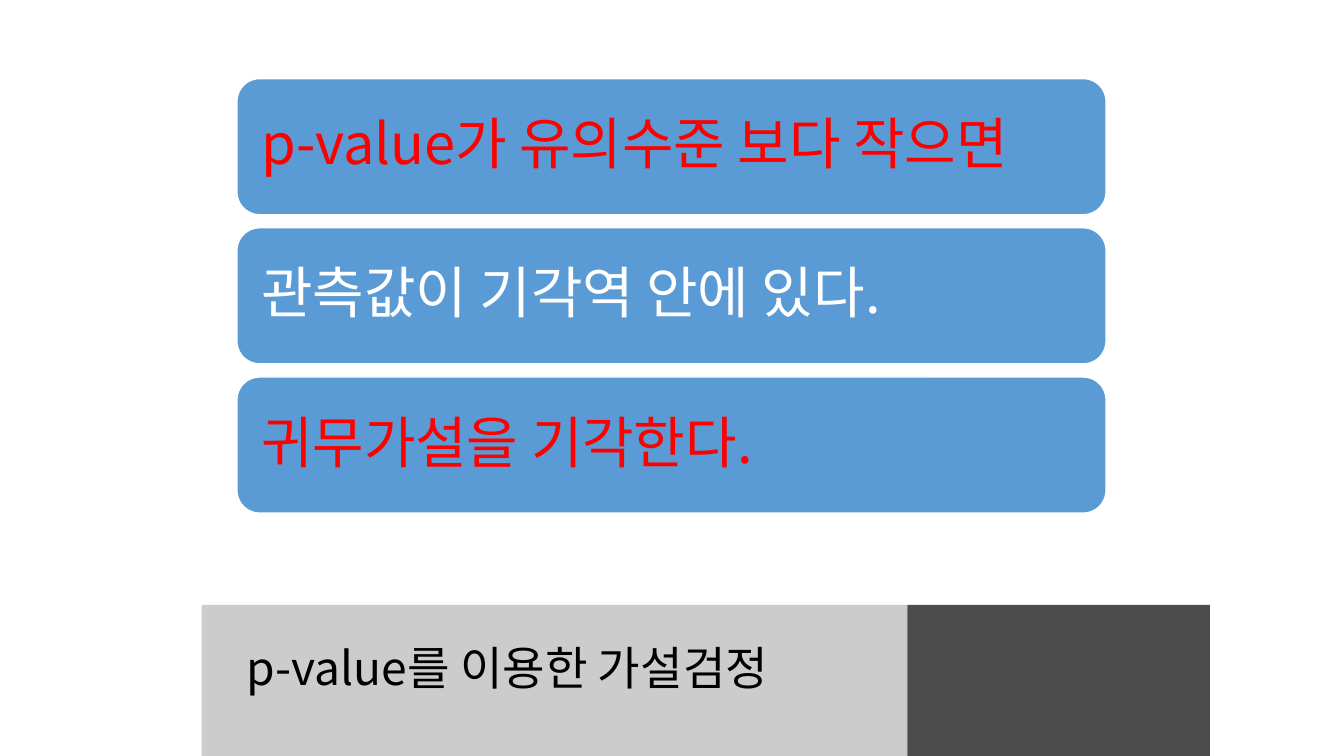
from dataclasses import dataclass

from lxml.etree import SubElement
from pptx import Presentation
from pptx.dml.color import RGBColor
from pptx.enum.shapes import MSO_SHAPE
from pptx.enum.text import MSO_ANCHOR
from pptx.oxml.ns import qn
from pptx.slide import Slide
from pptx.util import Inches, Pt


@dataclass(frozen=True)
class Theme:
    font: str = "Noto Sans CJK KR"
    blue: str = "5B9BD5"
    white: str = "FFFFFF"
    red: str = "FF0000"
    gray: str = "808080"
    black: str = "000000"
    title: int = 33
    body: int = 40


@dataclass(frozen=True)
class Box:
    left: float
    top: float
    width: float
    height: float


@dataclass(frozen=True)
class Step:
    text: str
    color: str


@dataclass(frozen=True)
class Band:
    points: tuple[tuple[float, float], ...]
    color: str
    alpha: int


THEME = Theme()
STEPS = (
    Step("p-value가 유의수준 보다 작으면", THEME.red),
    Step("관측값이 기각역 안에 있다.", THEME.white),
    Step("귀무가설을 기각한다.", THEME.red),
)
BANDS = (
    Band(((1.67, 5.87), (9.18, 5.87), (8.61, 7.5), (1.67, 7.5)), THEME.gray, 40),
    Band(((9.42, 5.87), (11.67, 5.87), (11.67, 7.5), (8.85, 7.5)), THEME.black, 70),
)
CARD = Box(2.35, 0.78, 8.62, 1.35)
PITCH = 1.48
EDGE = 0.07  # gap between a card and its text box


def add_band(slide: Slide, band: Band) -> None:
    start, *rest = band.points
    pen = slide.shapes.build_freeform(*start, scale=Inches(1))
    pen.add_line_segments(rest)
    shape = pen.convert_to_shape()
    shape.shadow.inherit = False
    shape.line.fill.background()
    shape.fill.solid()
    shape.fill.fore_color.rgb = RGBColor.from_string(band.color)
    tint = shape.fill._xPr.find(qn("a:solidFill"))[0]
    SubElement(tint, qn("a:alpha"), val=str(band.alpha * 1000))


def add_text(slide: Slide, box: Box, text: str, size: int, color: str,
             side: float, edge: float) -> None:
    label = slide.shapes.add_textbox(
        Inches(box.left), Inches(box.top), Inches(box.width), Inches(box.height))
    frame = label.text_frame
    frame.word_wrap = True
    frame.vertical_anchor = MSO_ANCHOR.MIDDLE
    frame.margin_left = frame.margin_right = Inches(side)
    frame.margin_top = frame.margin_bottom = Inches(edge)
    frame.text = text
    line = frame.paragraphs[0]
    line.line_spacing = 0.9
    font = line.runs[0].font
    font.size = Pt(size)
    font.name = THEME.font
    font.color.rgb = RGBColor.from_string(color)
    # Korean glyphs use the East Asian font slot
    SubElement(font._element, qn("a:ea"), typeface=THEME.font)


def add_card(slide: Slide, box: Box, step: Step) -> None:
    card = slide.shapes.add_shape(
        MSO_SHAPE.ROUNDED_RECTANGLE, Inches(box.left), Inches(box.top),
        Inches(box.width), Inches(box.height))
    card.shadow.inherit = False
    card.fill.solid()
    card.fill.fore_color.rgb = RGBColor.from_string(THEME.blue)
    card.line.color.rgb = RGBColor.from_string(THEME.white)
    card.line.width = Pt(1)
    inner = Box(box.left + EDGE, box.top + EDGE,
                box.width - 2 * EDGE, box.height - 2 * EDGE)
    add_text(slide, inner, step.text, THEME.body, step.color, 0.17, 0.17)


def main() -> None:
    deck = Presentation()
    deck.slide_width, deck.slide_height = Inches(13.33), Inches(7.5)
    slide = deck.slides.add_slide(deck.slide_layouts[6])

    # Footer bands and title
    for band in BANDS:
        add_band(slide, band)
    add_text(slide, Box(2.35, 6.05, 6.33, 1.2), "p-value를 이용한 가설검정",
             THEME.title, THEME.black, 0.1, 0.05)

    # Stacked reasoning steps
    for row, step in enumerate(STEPS):
        box = Box(CARD.left, CARD.top + row * PITCH, CARD.width, CARD.height)
        add_card(slide, box, step)

    deck.save("out.pptx")


if __name__ == "__main__":
    main()
